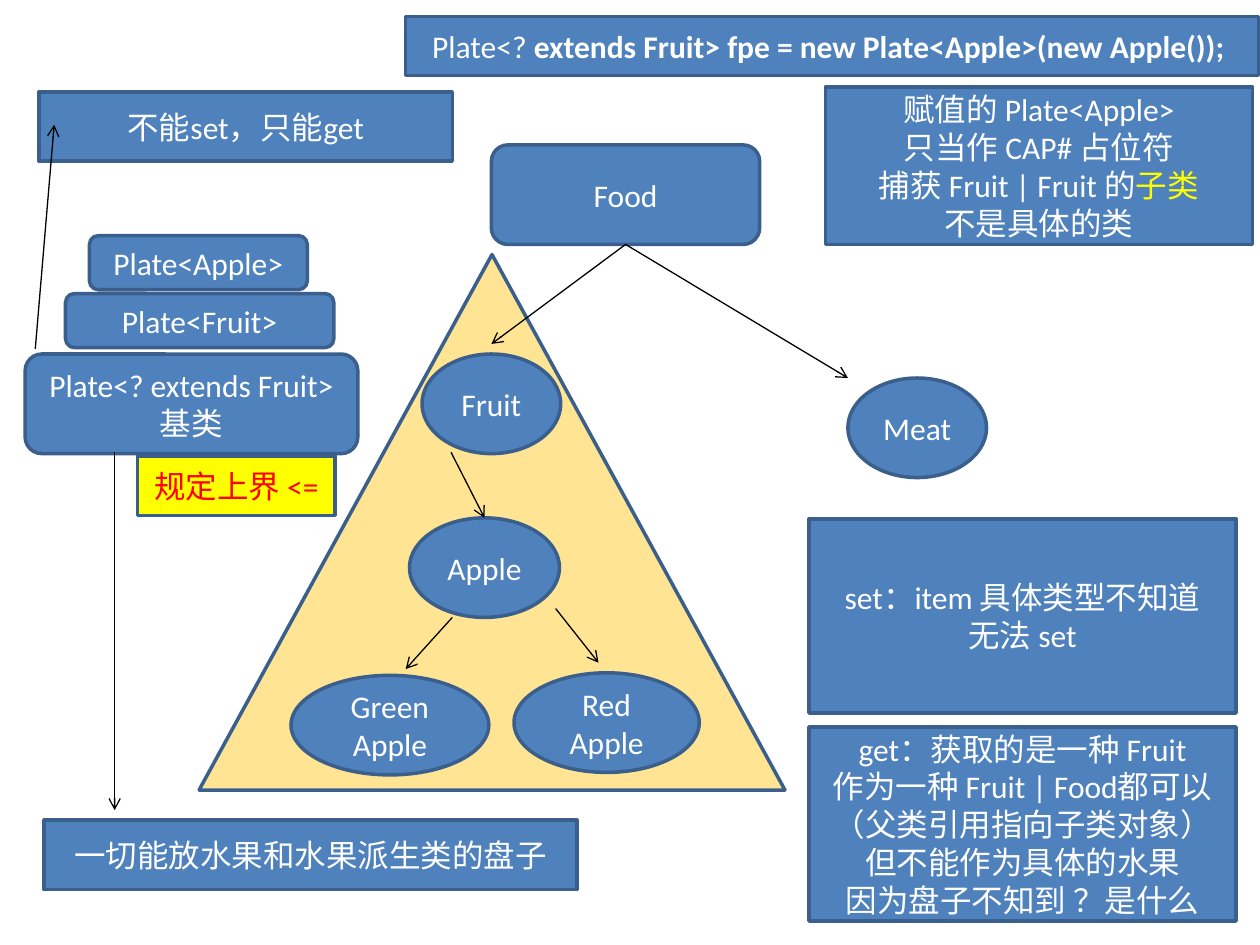
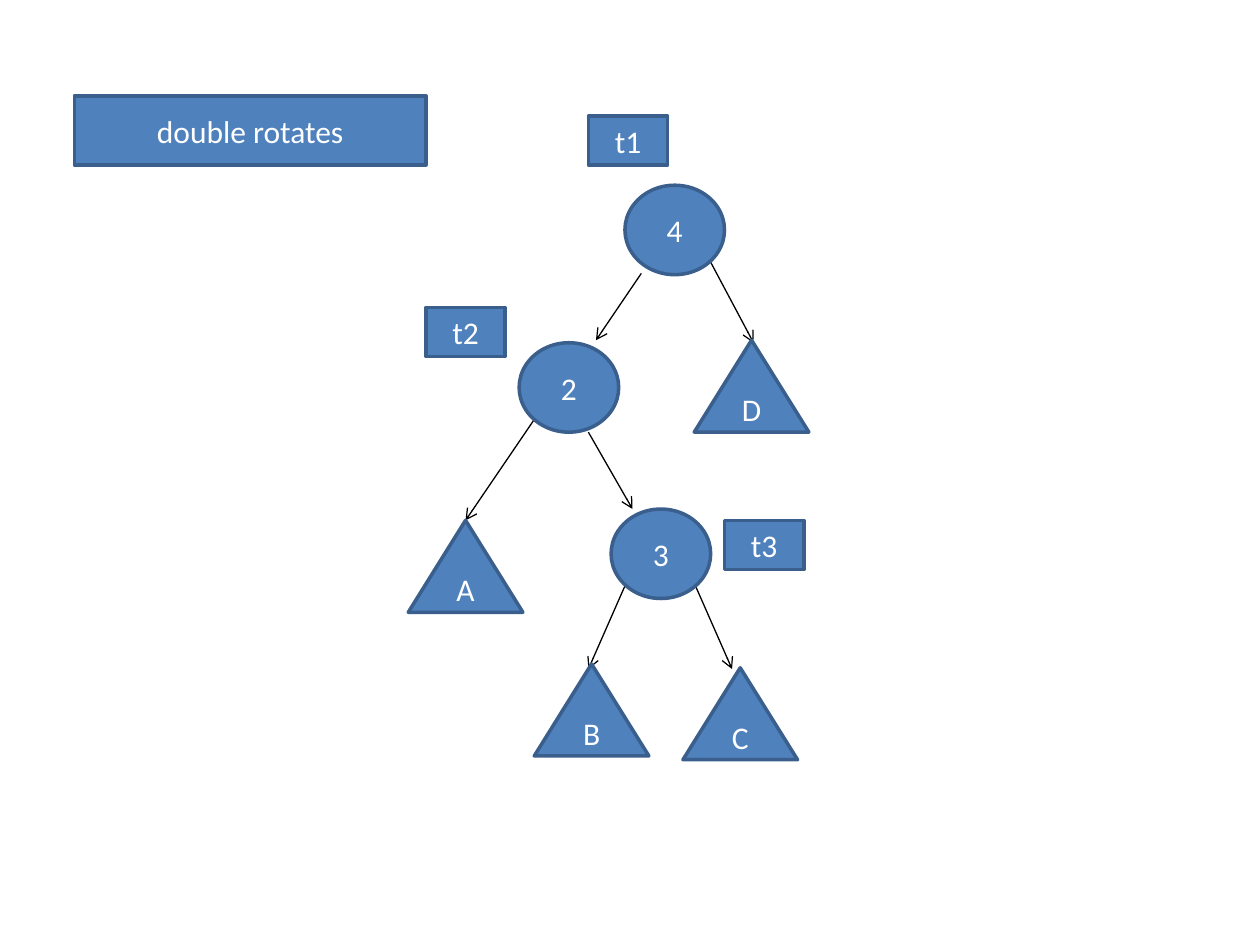
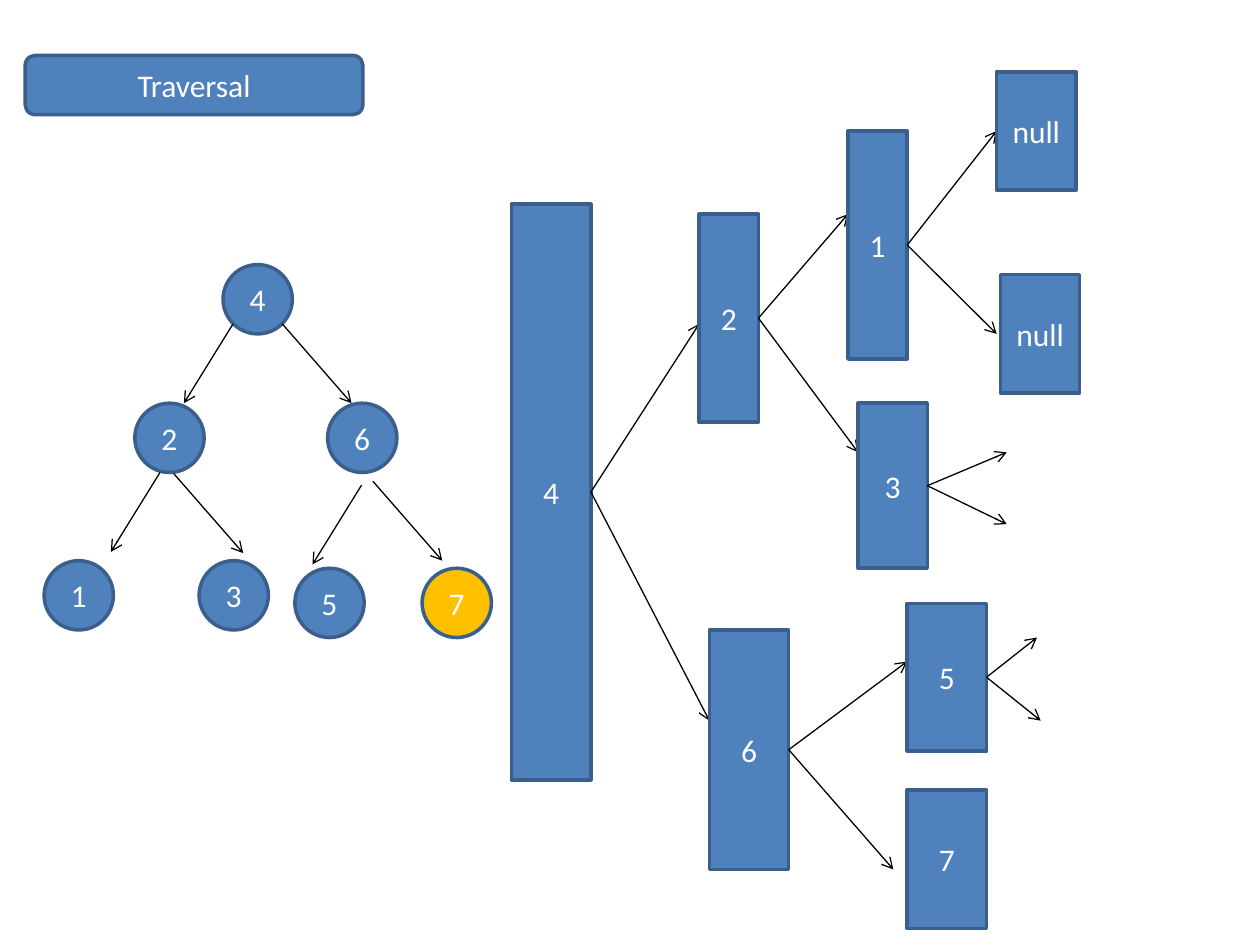
from dataclasses import dataclass
from math import isclose
from lxml.etree import SubElement
from pptx import Presentation
from pptx.dml.color import RGBColor
from pptx.enum.shapes import MSO_CONNECTOR, MSO_SHAPE
from pptx.enum.text import MSO_ANCHOR, PP_ALIGN
from pptx.oxml.ns import qn
from pptx.slide import Slide
from pptx.util import Inches, Pt

COLORS = {
    "blue": "4F81BD", "outline": "3A5F8C", "white": "FFFFFF", "black": "000000",
    "sand": "FFE593", "yellow": "FFFF00", "red": "FF0000", "gold": "FFC000",
}
FONT, FONT_SIZE = "Calibri", Pt(18)
TOP, LEFT, BOTTOM, RIGHT = range(4)
RECTANGLE, ROUNDED = MSO_SHAPE.RECTANGLE, MSO_SHAPE.ROUNDED_RECTANGLE
OVAL, TRIANGLE = MSO_SHAPE.OVAL, MSO_SHAPE.ISOSCELES_TRIANGLE


def color(name):
    return RGBColor.from_string(COLORS[name])


@dataclass
class Region:
    """An area of a slide; its parts are placed from its left top corner."""
    slide: Slide
    left: float
    top: float

    def add_node(self, kind, box, *paragraphs, fill="blue", text_color="white"):
        """Add an outlined shape; a paragraph is a string or a list of (text, font settings)."""
        left, top, width, height = box
        shape = self.slide.shapes.add_shape(
            kind, Inches(self.left + left), Inches(self.top + top), Inches(width), Inches(height))
        shape.shadow.inherit = False
        shape.fill.solid()
        shape.fill.fore_color.rgb = color(fill)
        shape.line.color.rgb = color("outline")
        shape.line.width = Pt(2)
        frame = shape.text_frame
        frame.word_wrap = True
        frame.vertical_anchor = MSO_ANCHOR.MIDDLE
        for index, content in enumerate(paragraphs):
            paragraph = frame.add_paragraph() if index else frame.paragraphs[0]
            paragraph.alignment = PP_ALIGN.CENTER
            runs = [(content, {})] if isinstance(content, str) else content
            for text, settings in runs:
                run = paragraph.add_run()
                run.text = text
                run.font.name, run.font.size = FONT, FONT_SIZE
                run.font.bold = settings.get("bold")
                run.font.color.rgb = color(settings.get("color", text_color))
        return shape

    def add_arrow(self, start, end):
        """Add a thin arrow between two points."""
        connector = self.slide.shapes.add_connector(
            MSO_CONNECTOR.STRAIGHT,
            Inches(self.left + start[0]), Inches(self.top + start[1]),
            Inches(self.left + end[0]), Inches(self.top + end[1]))
        connector.line.color.rgb = color("black")
        connector.line.width = Pt(0.75)
        properties = connector.element.spPr
        SubElement(properties.find(qn("a:ln")), qn("a:tailEnd"), type="arrow")
        SubElement(properties, qn("a:effectLst"))
        return connector


# Slide 1: upper bounded wildcard
def add_type_hierarchy(region):
    region.add_node(TRIANGLE, (0, 0.87, 4.65, 4.25), fill="sand")
    food = region.add_node(ROUNDED, (2.32, 0, 2.13, 0.79), "Food")
    for child in [(2.32, 1.58), (5.15, 1.85)]:
        region.add_arrow((3.38, 0.79), child).begin_connect(food, BOTTOM)

    ovals = {}
    for left, top, width, name in [
        (5.15, 1.85, 1.1, "Meat"), (1.77, 1.66, 1.1, "Fruit"), (1.67, 2.96, 1.19, "Apple"),
        (2.5, 4.19, 1.47, "Red Apple"), (0.73, 4.21, 1.57, "Green Apple"),
    ]:
        ovals[name] = region.add_node(OVAL, (left, top, width, 0.79), *name.split())

    region.add_arrow((2, 2.44), (2.27, 2.96)).end_connect(ovals["Apple"], TOP)
    region.add_arrow((2.01, 3.75), (1.64, 4.16))
    region.add_arrow((2.83, 3.68), (3.17, 4.11))


def add_plate_stack(region):
    region.add_node(ROUNDED, (0, 2.08, 2.64, 0.79), "Plate<? extends Fruit>", "基类")
    region.add_node(ROUNDED, (0.32, 1.6, 2.13, 0.43), "Plate<Fruit>")
    region.add_node(ROUNDED, (0.51, 1.14, 1.73, 0.43), "Plate<Apple>")
    region.add_node(RECTANGLE, (0.15, 5.78, 4.23, 0.55), "一切能放水果和水果派生类的盘子")
    region.add_arrow((0.71, 2.86), (0.71, 5.7))
    region.add_node(RECTANGLE, (0.11, 0, 3.28, 0.55), "不能set，只能get")
    region.add_arrow((0.08, 2.04), (0.23, 0.26))
    region.add_node(RECTANGLE, (0.89, 2.89, 1.57, 0.47), "规定上界 <=",
                    fill="yellow", text_color="red")


def add_wildcard_notes(region):
    region.add_node(RECTANGLE, (0, 0, 6.77, 0.47), [
        ("Plate<? ", {}),
        ("extends Fruit> fpe = new Plate<Apple>(new Apple()); ", {"bold": True})])
    region.add_node(RECTANGLE, (3.33, 0.56, 3.39, 1.25),
                    "赋值的 Plate<Apple>", "只当作 CAP# 占位符",
                    [("捕获 Fruit | Fruit 的", {}), ("子类", {"color": "yellow"})],
                    "不是具体的类")
    region.add_node(RECTANGLE, (3.2, 3.99, 3.39, 1.54), "set：item 具体类型不知道", "无法 set")
    region.add_node(RECTANGLE, (3.2, 5.64, 3.39, 1.54),
                    "get：获取的是一种 Fruit", "作为一种 Fruit | Food都可以",
                    "（父类引用指向子类对象）", "但不能作为具体的水果", "因为盘子不知到 ？是什么")


# Slide 2: tree before the double rotation
def add_rotation_tree(region):
    for start, end in [
        ((1.85, 1.25), (1.49, 1.78)), ((2.4, 1.16), (2.74, 1.8)),
        ((1.43, 2.51), (1.78, 3.12)),
        ((1.72, 3.73), (1.43, 4.39)), ((2.28, 3.73), (2.57, 4.39)),
    ]:
        region.add_arrow(start, end)
    arrow_to_a = region.add_arrow((1, 2.41), (0.46, 3.21))

    kinds = [
        (OVAL, (0.79, 0.71), {"4": (1.72, 0.55), "2": (0.88, 1.8), "3": (1.61, 3.12)}),
        (RECTANGLE, (0.63, 0.39), {"t1": (1.43, 0), "t2": (0.14, 1.52), "t3": (2.51, 3.21)}),
        (TRIANGLE, (0.91, 0.73),
         {"D": (2.27, 1.78), "A": (0, 3.21), "B": (1, 4.35), "C": (2.18, 4.38)}),
    ]
    nodes = {}
    for kind, size, places in kinds:
        for label, place in places.items():
            nodes[label] = region.add_node(kind, place + size, label)
    arrow_to_a.end_connect(nodes["A"], TOP)


# Slide 3: traversal
def add_search_tree(region):
    for label, left, top in [
        ("4", 1.42, 0), ("2", 0.72, 1.1), ("6", 2.25, 1.1), ("1", 0, 2.35),
        ("3", 1.23, 2.35), ("5", 1.99, 2.41), ("7", 3, 2.41),
    ]:
        region.add_node(OVAL, (left, top, 0.55, 0.55), label,
                        fill="gold" if label == "7" else "blue")
    # All arrows to one side share a slope
    branches = [
        (-0.39, [(1.5, 0.47), (0.92, 1.65), (2.52, 1.75)]),
        (0.55, [(1.89, 0.47), (1.03, 1.66), (2.61, 1.72)]),
    ]
    for shift, starts in branches:
        for left, top in starts:
            region.add_arrow((left, top), (left + shift, top + 0.63))


def add_call_frames(region):
    frames = {"4": region.add_node(RECTANGLE, (0, 1.05, 0.63, 4.57), "4")}
    # Caller, arrow end, called frame and its box
    calls = [
        ("4", (1.49, 2), "2", (1.49, 1.13, 0.47, 1.65)),
        ("2", (2.67, 1.13), "1", (2.67, 0.47, 0.47, 1.81)),
        ("1", (3.85, 0.47), "null", (3.85, 0, 0.63, 0.94)),
        ("1", (3.85, 2.08), "null", (3.88, 1.61, 0.63, 0.94)),
        ("2", (2.75, 3.02), "3", (2.75, 2.63, 0.55, 1.31)),
        ("3", (3.93, 3.02), None, None),
        ("3", (3.93, 3.59), None, None),
        ("4", (1.57, 5.15), "6", (1.57, 4.43, 0.63, 1.9)),
        ("6", (3.14, 4.68), "5", (3.14, 4.22, 0.63, 1.17)),
        ("5", (4.17, 4.49), None, None),
        ("5", (4.2, 5.15), None, None),
        ("6", (3.03, 6.33), "7", (3.14, 5.7, 0.63, 1.1)),
    ]
    for caller, end, label, box in calls:
        arrow = region.add_arrow((0, 0), end)
        arrow.begin_connect(frames[caller], RIGHT)
        if label:
            frames[label] = region.add_node(RECTANGLE, box, label)
            left, top, _, height = box
            if end[0] == left and isclose(end[1], top + height / 2, abs_tol=0.02):
                arrow.end_connect(frames[label], LEFT)


def main():
    presentation = Presentation()
    presentation.slide_width, presentation.slide_height = Inches(10), Inches(7.5)
    blank = presentation.slide_layouts[6]
    wildcard, rotation, traversal = (presentation.slides.add_slide(blank) for _ in range(3))

    add_type_hierarchy(Region(wildcard, 1.58, 1.15))
    add_plate_stack(Region(wildcard, 0.2, 0.73))
    add_wildcard_notes(Region(wildcard, 3.22, 0.13))

    Region(rotation, 0.59, 0.76).add_node(RECTANGLE, (0, 0, 2.79, 0.55), "double rotates")
    add_rotation_tree(Region(rotation, 3.24, 0.92))

    Region(traversal, 0.2, 0.44).add_node(ROUNDED, (0, 0, 2.68, 0.47), "Traversal")
    add_search_tree(Region(traversal, 0.35, 2.1))
    add_call_frames(Region(traversal, 4.06, 0.57))

    presentation.save("out.pptx")


if __name__ == "__main__":
    main()
